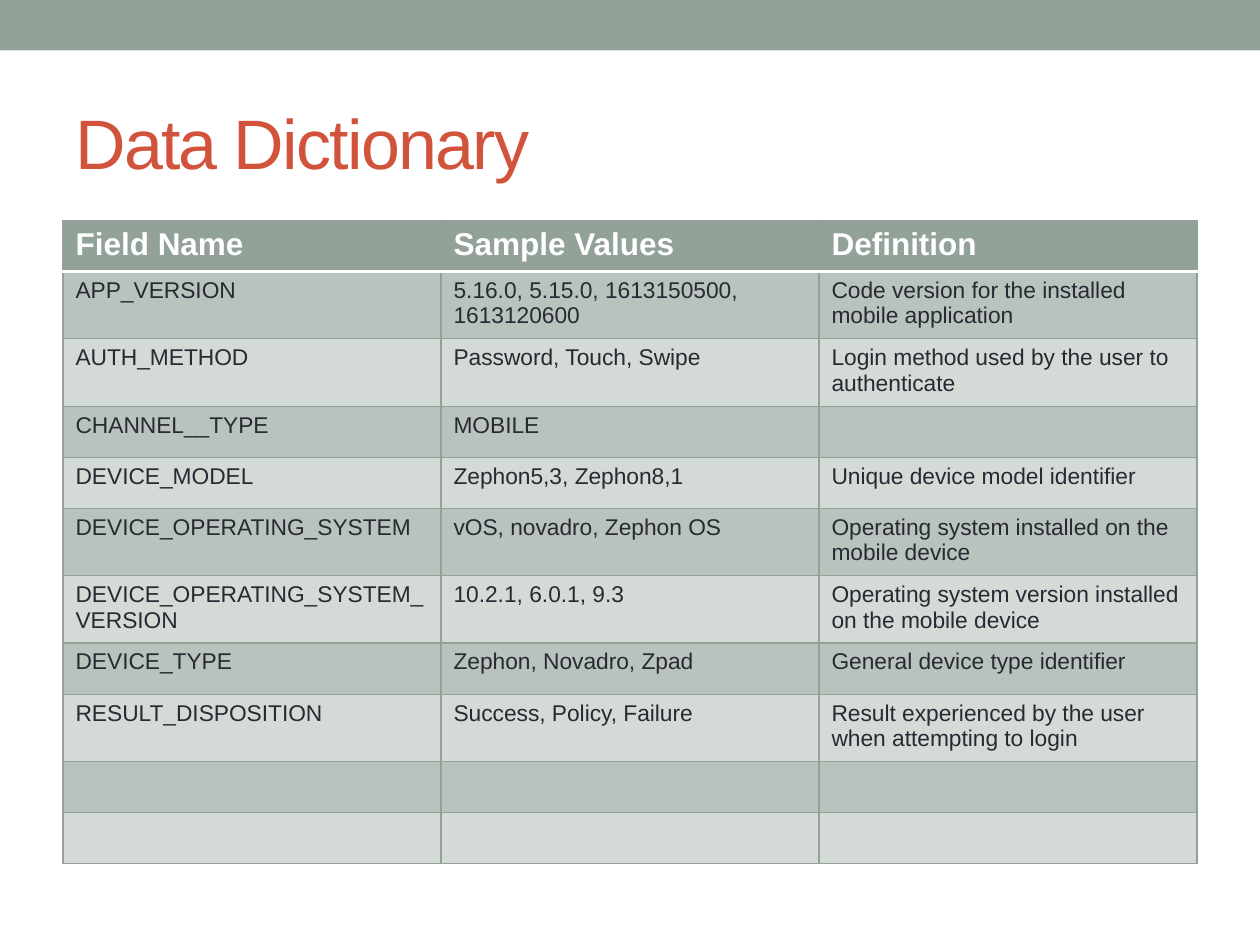
import pptx
import pptx.dml.color
import pptx.enum.shapes
import pptx.enum.text
import pptx.oxml
import pptx.oxml.ns
import pptx.util

Pt = pptx.util.Pt

# Content
TITLE = "Data Dictionary"
ROWS = [
    ("Field Name", "Sample Values", "Definition"),
    ("APP_VERSION", "5.16.0, 5.15.0, 1613150500, 1613120600",
     "Code version for the installed mobile application"),
    ("AUTH_METHOD", "Password, Touch, Swipe",
     "Login method used by the user to authenticate"),
    ("CHANNEL__TYPE", "MOBILE", ""),
    ("DEVICE_MODEL", "Zephon5,3, Zephon8,1", "Unique device model identifier"),
    ("DEVICE_OPERATING_SYSTEM", "vOS, novadro, Zephon OS",
     "Operating system installed on the mobile device"),
    ("DEVICE_OPERATING_SYSTEM_VERSION", "10.2.1, 6.0.1, 9.3",
     "Operating system version installed on the mobile device"),
    ("DEVICE_TYPE", "Zephon, Novadro, Zpad", "General device type identifier"),
    ("RESULT_DISPOSITION", "Success, Policy, Failure",
     "Result experienced by the user when attempting to login"),
    ("", "", ""),
    ("", "", ""),
]

# Formats
SAGE, WHITE = "93A299", "FFFFFF"
BANDS = ("D4DAD6", "B9C3BD")
TITLE_FONT = {"name": "Arial", "size": Pt(40), "bold": False}
HEAD_FONT = {"name": "Arial", "size": Pt(18), "bold": True}
BODY_FONT = {"name": "Arial", "size": Pt(13), "bold": False}
COLUMN_WIDTH, ROW_HEIGHT = 216, 29.2


def paint(target, color):
    target.solid()
    target.fore_color.rgb = pptx.dml.color.RGBColor.from_string(color)


def write(frame, text, font, color):
    span = frame.paragraphs[0].add_run()
    span.text = text
    for name, value in font.items():
        setattr(span.font, name, value)
    paint(span.font.fill, color)
    return span


def set_border(cell, side, color, width):
    line = pptx.oxml.parse_xml(
        f'<a:{side} {pptx.oxml.ns.nsdecls("a")} w="{Pt(width)}"><a:solidFill>'
        f'<a:srgbClr val="{color}"/></a:solidFill></a:{side}>')
    return line


def style_cell(cell, fill, borders):
    paint(cell.fill, fill)
    properties = cell._tc.get_or_add_tcPr()
    # Borders come before the fill, in the order left, right, top, bottom
    for index, (side, (color, width)) in enumerate(borders.items()):
        properties.insert(index, set_border(cell, side, color, width))


deck = pptx.Presentation()
deck.slide_width, deck.slide_height = Pt(720), Pt(540)
page = deck.slides.add_slide(deck.slide_layouts[6])

# Top band
band = page.shapes.add_shape(
    pptx.enum.shapes.MSO_SHAPE.RECTANGLE, 0, 0, deck.slide_width, Pt(28.8))
band.shadow.inherit = False
paint(band.fill, SAGE)
band.line.fill.background()

# Title
box = page.shapes.add_textbox(Pt(36), Pt(41.76), Pt(648), Pt(77.76))
box.text_frame.word_wrap = True
box.text_frame.vertical_anchor = pptx.enum.text.MSO_ANCHOR.MIDDLE
title = write(box.text_frame, TITLE, TITLE_FONT, "D2533C")
title.font._element.set("spc", "-100")

# Table
columns = len(ROWS[0])
table = page.shapes.add_table(
    len(ROWS), columns, Pt(36), Pt(126),
    Pt(COLUMN_WIDTH * columns), Pt(ROW_HEIGHT * len(ROWS))).table
for column in table.columns:
    column.width = Pt(COLUMN_WIDTH)
for number, values in enumerate(ROWS):
    table.rows[number].height = Pt(ROW_HEIGHT)
    header = number == 0
    borders = dict.fromkeys(("lnL", "lnR", "lnT", "lnB"), (SAGE, 0.75))
    if header:
        borders["lnB"] = (WHITE, 2.08)
    elif number == 1:
        borders["lnT"] = (WHITE, 2.08)
    for cell, text in zip(table.rows[number].cells, values):
        style_cell(cell, SAGE if header else BANDS[number % 2], borders)
        if text:
            write(cell.text_frame, text, HEAD_FONT if header else BODY_FONT,
                  WHITE if header else "292934")

deck.save("out.pptx")
